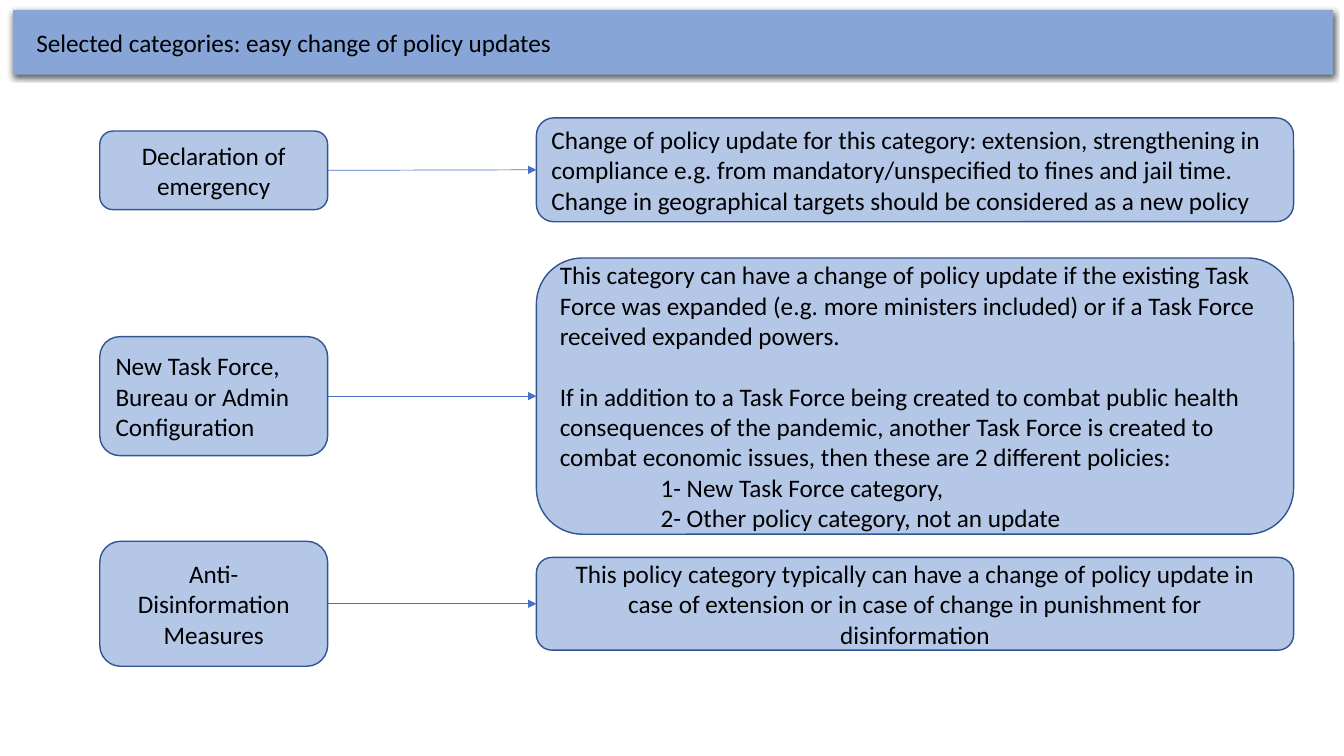
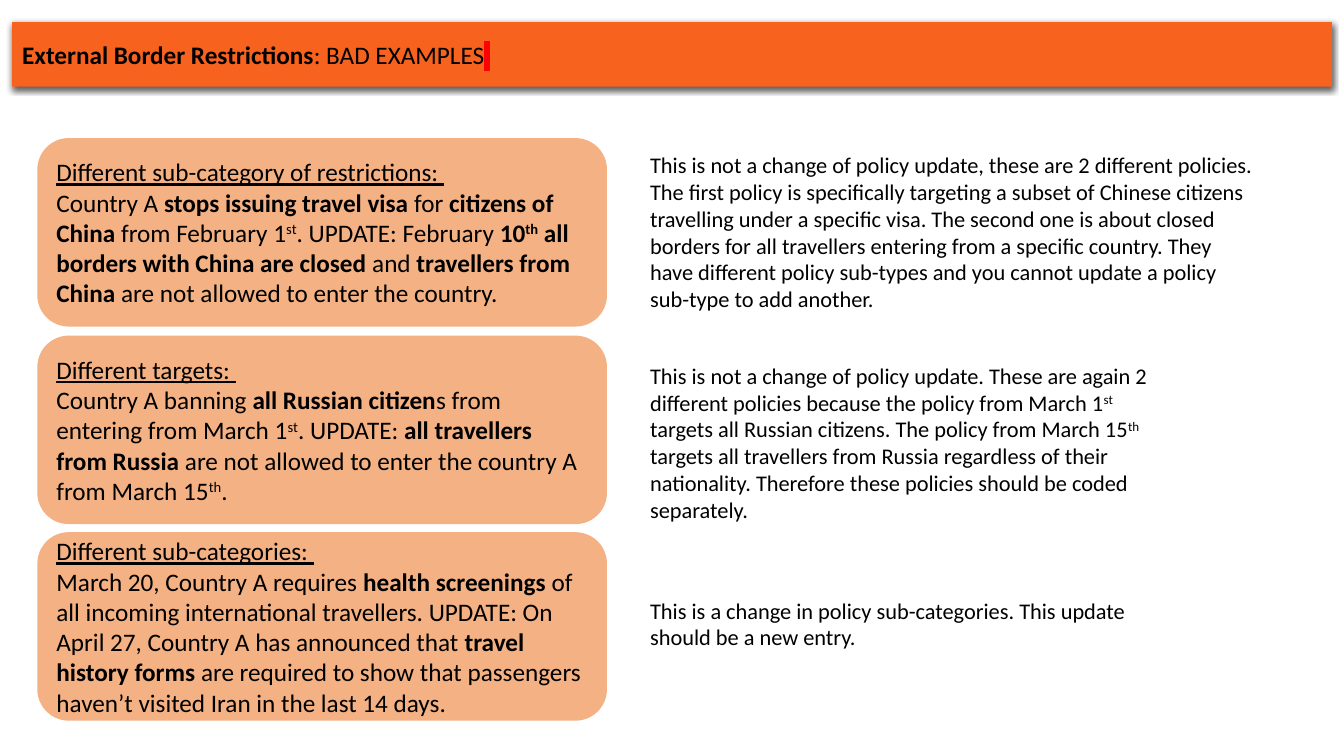
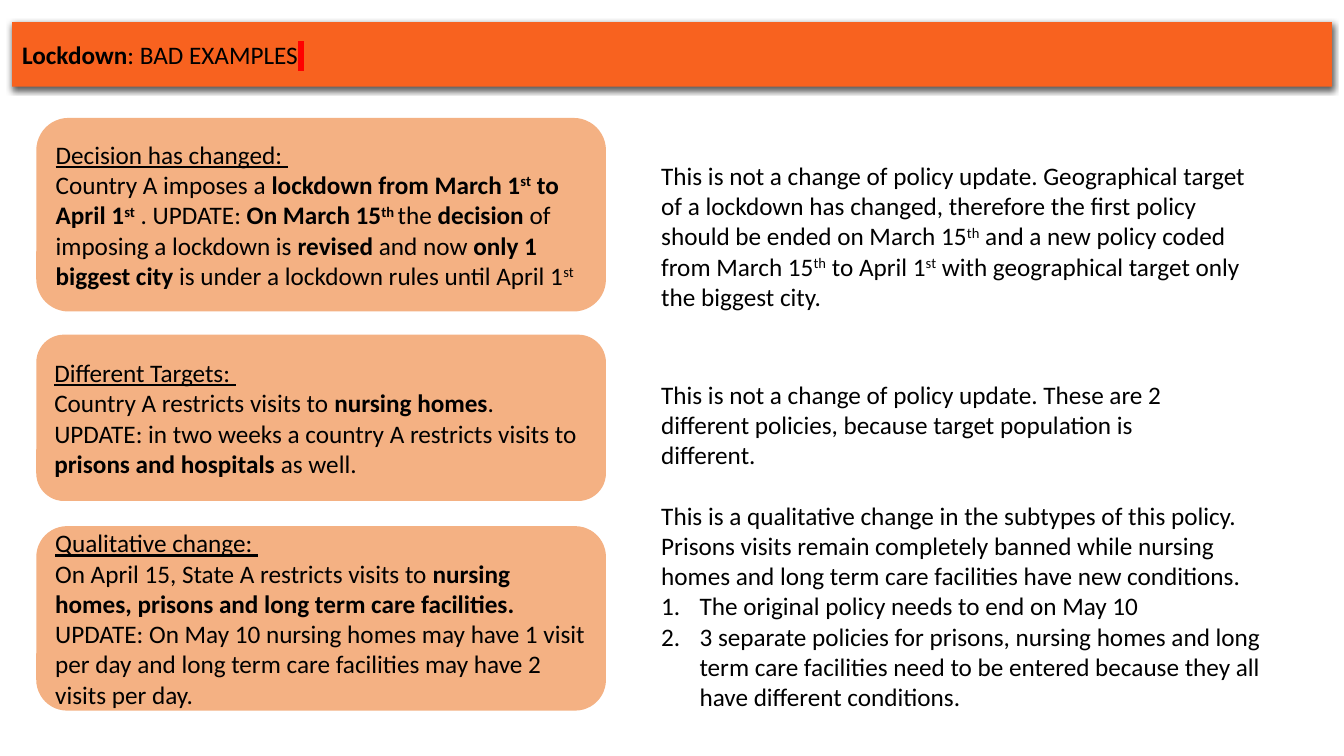
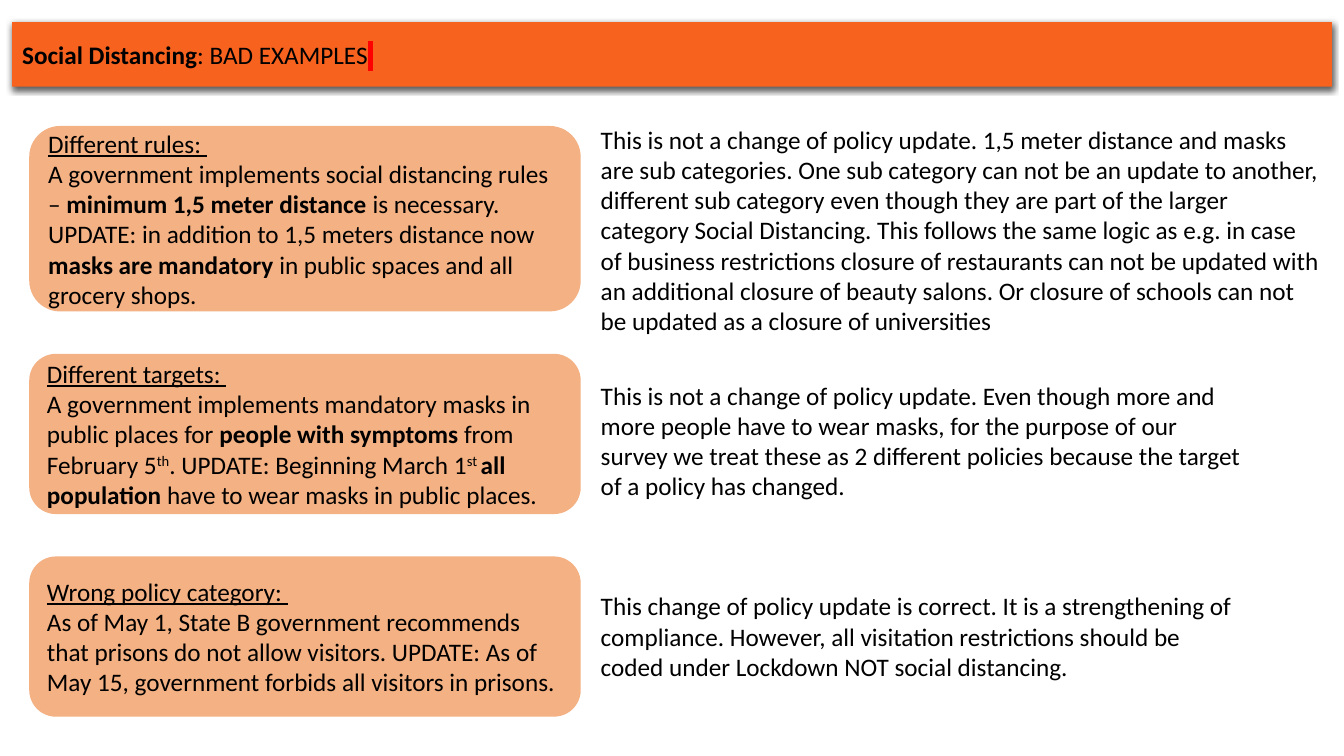
from dataclasses import dataclass

import pptx
import pptx.chart.data
import pptx.dml.color
import pptx.enum.shapes
import pptx.enum.text
import pptx.oxml
import pptx.oxml.ns
import pptx.util
from lxml import etree

Inches, Pt = pptx.util.Inches, pptx.util.Pt
RGB = pptx.dml.color.RGBColor
ALIGN = pptx.enum.text.PP_ALIGN
ANCHOR = pptx.enum.text.MSO_ANCHOR
SHAPE = pptx.enum.shapes.MSO_SHAPE
qn = pptx.oxml.ns.qn

BLACK = RGB(0x00, 0x00, 0x00)
BAND_BLUE = RGB(0x88, 0xA5, 0xD8)
BAND_ORANGE = RGB(0xF8, 0x62, 0x1F)
BOX_BLUE = RGB(0xB4, 0xC7, 0xE7)
BOX_EDGE = RGB(0x32, 0x54, 0x91)
BOX_ORANGE = RGB(0xF4, 0xB1, 0x83)
ARROW_BLUE = RGB(0x44, 0x72, 0xC4)
MARK_RED = RGB(0xFF, 0x00, 0x00)
FONT = "Calibri"
BAND_SIZE = (13.09, 0.64)


@dataclass
class Para:
    """Spans are plain text or (text, flags): b bold, u underlined, ^ raised, h marked."""
    spans: list
    align: object = ALIGN.LEFT
    before: float = 0
    indent: float = 0
    numbered: bool = False


# Content: slide of categories, each row a category and its rule
CATEGORY_TITLE = "Selected categories: easy change of policy updates"
CATEGORY_COLUMN, RULE_COLUMN = (0.99, 2.26), (5.32, 7.51)
CATEGORY_ROWS = [
    {"category": (1.3, 0.78, [Para(["Declaration of emergency"], ALIGN.CENTER)]),
     "rule": (1.17, 1.03, [Para([
         "Change of policy update for this category: extension, strengthening in compliance e.g. from "
         "mandatory/unspecified to fines and jail time. Change in geographical targets should be "
         "considered as a new policy"])])},
    {"category": (3.34, 1.18, [Para(["New Task Force, Bureau or Admin Configuration"])]),
     "rule": (2.56, 2.74, [
         Para(["This category can have a change of policy update if the existing Task Force was expanded "
               "(e.g. more ministers included) or if a Task Force received expanded powers."]),
         Para(["If in addition to a Task Force being created to combat public health consequences of the "
               "pandemic, another Task Force is created to combat economic issues, then these are 2 "
               "different policies:"], before=22),
         Para(["1- New Task Force category,"], indent=1),
         Para(["2- Other policy category, not an update"], indent=1)])},
    {"category": (5.37, 1.24, [Para(["Anti-Disinformation Measures"], ALIGN.CENTER)]),
     "rule": (5.53, 0.92, [Para([
         "This policy category typically can have a change of policy update in case of extension or in "
         "case of change in punishment for disinformation"], ALIGN.CENTER)])},
]

# Content: slides of bad examples
# example: top, height, heading, spans; note: top, width, height, paragraphs
BAD_EXAMPLES = [
    {"topic": "External Border Restrictions", "column": (0.37, 5.65), "note_left": 6.35, "note_size": 16,
     "rows": [
         {"example": (1.37, 1.87, "Different sub-category of restrictions: ", [
             "Country A ", ("stops issuing travel visa", "b"), " for ", ("citizens of China", "b"),
             " from February 1", ("st", "^"), ". UPDATE: February ", ("10", "b"), ("th", "b^"),
             (" all borders with China are closed", "b"), " and ", ("travellers from China", "b"),
             " are not allowed to enter the country."]),
          "note": (1.45, 6.24, 1.72, [Para([
              "This is not a change of policy update, these are 2 different policies. The first policy is "
              "specifically targeting a subset of Chinese citizens travelling under a specific visa. The "
              "second one is about closed borders for all travellers entering from a specific country. "
              "They have different policy sub-types and you cannot update a policy sub-type to add "
              "another."])])},
         {"example": (3.33, 1.87, "Different targets: ", [
             "Country A banning ", ("all Russian citizen", "b"), "s from entering from March 1",
             ("st", "^"), ". UPDATE: ", ("all travellers from Russia", "b"),
             " are not allowed to enter the country A from March 15", ("th", "^"), "."]),
          "note": (3.54, 5.3, 1.72, [Para([
              "This is not a change of policy update. These are again 2 different policies because the "
              "policy from March 1", ("st", "^"), " targets all Russian citizens. The policy from March 15",
              ("th", "^"), " targets all travellers from Russia regardless of their nationality. Therefore "
              "these policies should be coded separately."])])},
         {"example": (5.28, 1.87, "Different sub-categories: ", [
             "March 20, Country A requires ", ("health screenings ", "b"),
             "of all incoming international travellers. UPDATE: On April 27, Country A has announced that ",
             ("travel history forms ", "b"),
             "are required to show that passengers haven’t visited Iran in the last 14 days."]),
          "note": (5.87, 5.3, 0.64, [Para([
              "This is a change in policy sub-categories. This update should be a new entry."])])},
     ]},
    {"topic": "Lockdown", "column": (0.36, 5.65), "note_left": 6.46, "note_size": 18,
     "rows": [
         {"example": (1.17, 1.92, "Decision has changed: ", [
             "Country A imposes a ", ("lockdown from March 1", "b"), ("st", "b^"), (" to April 1", "b"),
             ("st", "b^"), " . UPDATE: ", ("On March 15", "b"), ("th ", "b^"), "the ", ("decision", "b"),
             " of imposing a lockdown is ", ("revised", "b"), " and now ", ("only 1 biggest city ", "b"),
             "is under a lockdown rules until April 1", ("st", "^")]),
          "note": (1.54, 6.2, 1.62, [Para([
              "This is not a change of policy update. Geographical target of a lockdown has changed, "
              "therefore the first policy should be ended on March 15", ("th", "^"),
              " and a new policy coded from March 15", ("th", "^"), " to April 1", ("st", "^"),
              " with geographical target only the biggest city."])])},
         {"example": (3.32, 1.65, "Different Targets: ", [
             "Country A restricts visits to ", ("nursing homes", "b"),
             ". UPDATE: in two weeks a country A restricts visits to ", ("prisons and hospitals ", "b"),
             "as well."]),
          "note": (3.71, 5.3, 1.01, [Para([
              "This is not a change of policy update. These are 2 different policies, because target "
              "population is different."])])},
         {"example": (5.22, 1.83, "Qualitative change: ", [
             "On April 15, State A restricts visits to ",
             ("nursing homes, prisons and long term care facilities. ", "b"),
             "UPDATE: On May 10 nursing homes may have 1 visit per day and long term care facilities may "
             "have 2 visits per day."]),
          "note": (4.91, 6.31, 2.22, [
              Para(["This is a qualitative change in the subtypes of this policy. Prisons visits remain "
                    "completely banned while nursing homes and long term care facilities have new "
                    "conditions."]),
              Para(["The original policy needs to end on May 10"], indent=0.38, numbered=True),
              Para(["3 separate policies for prisons, nursing homes and long term care facilities need to "
                    "be entered because they all have different conditions."],
                   indent=0.38, numbered=True)])},
     ]},
    {"topic": "Social Distancing", "column": (0.29, 5.47), "note_left": 5.86, "note_size": 18,
     "rows": [
         {"example": (1.25, 1.84, "Different rules: ", [
             "A government implements social distancing rules – ", ("minimum 1,5 meter distance ", "b"),
             "is necessary. UPDATE: in addition to 1,5 meters distance now ",
             ("masks are mandatory ", "b"), "in public spaces and all grocery shops."]),
          "note": (1.18, 7.35, 2.22, [Para([
              "This is not a change of policy update. 1,5 meter distance and masks are sub categories. One "
              "sub category can not be an update to another, different sub category even though they are "
              "part of the larger category Social Distancing. This follows the same logic as e.g. in case "
              "of business restrictions closure of restaurants can not be updated with an additional "
              "closure of beauty salons. Or closure of schools can not be updated as a closure of "
              "universities"])])},
         {"example": (3.51, 1.59, "Different targets: ", [
             "A government implements mandatory masks in public places for ",
             ("people with symptoms ", "b"), "from February 5", ("th", "^"),
             ". UPDATE: Beginning March 1", ("st ", "^"), ("all population ", "b"),
             "have to wear masks in public places."]),
          "note": (3.72, 6.59, 1.31, [Para([
              "This is not a change of policy update. Even though more and more people have to wear masks, "
              "for the purpose of our survey we treat these as 2 different policies because the target of "
              "a policy has changed."])])},
         {"example": (5.52, 1.59, "Wrong policy category: ", [
             "As of May 1, State B government recommends that prisons do not allow visitors. UPDATE: As of "
             "May 15, government forbids all visitors in prisons."]),
          "note": (5.81, 6.59, 1.01, [Para([
              "This change of policy update is correct. It is a strengthening of compliance. However, all "
              "visitation restrictions should be coded under Lockdown NOT social distancing."])])},
     ]},
]


# Text
def add_span(para, text, flags, size):
    span = para.add_run()
    span.text = text
    span.font.size = Pt(size)
    span.font.bold = "b" in flags
    span.font.underline = "u" in flags
    span.font.color.rgb = BLACK
    span.font.name = FONT
    props = span.font._element
    if "^" in flags:
        props.set("baseline", "30000")
    if "h" in flags:
        mark = etree.Element(qn("a:highlight"))
        etree.SubElement(mark, qn("a:srgbClr"), val=str(MARK_RED))
        props.find(qn("a:latin")).addprevious(mark)


def write_text(shape, paras, size=18, anchor=ANCHOR.MIDDLE):
    frame = shape.text_frame
    frame.word_wrap = True
    frame.auto_size = pptx.enum.text.MSO_AUTO_SIZE.NONE
    frame.vertical_anchor = anchor
    for index, item in enumerate(paras):
        para = frame.add_paragraph() if index else frame.paragraphs[0]
        para.alignment = item.align
        if item.before:
            para.space_before = Pt(item.before)
        props = para._p.get_or_add_pPr()
        if item.indent:
            props.set("marL", str(Inches(item.indent)))
        if item.numbered:
            props.set("indent", str(-Inches(item.indent)))
            etree.SubElement(props, qn("a:buAutoNum"), type="arabicPeriod")
        for span in item.spans:
            text, flags = (span, "") if isinstance(span, str) else span
            add_span(para, text, flags, size)


# Shared parts
def add_titled_page(deck, left, top, color, spans, text_inset=0.1):
    page = deck.slides.add_slide(deck.slide_layouts[5])
    band = page.shapes.title
    band.left, band.top = Inches(left), Inches(top)
    band.width, band.height = map(Inches, BAND_SIZE)
    band.fill.solid()
    band.fill.fore_color.rgb = color
    band.text_frame.margin_left = Inches(text_inset)
    effects = etree.SubElement(band._element.spPr, qn("a:effectLst"))
    shadow = etree.SubElement(effects, qn("a:outerShdw"), blurRad=str(Pt(4.5)), dist=str(Pt(1.5)),
                              dir="5400000", algn="ctr", rotWithShape="0")
    tint = etree.SubElement(shadow, qn("a:srgbClr"), val=str(BLACK))
    etree.SubElement(tint, qn("a:alpha"), val="63000")
    write_text(band, [Para(spans)])
    return page


def add_box(page, column, top, height, paras, fill, edge=None):
    left, width = column
    box = page.shapes.add_shape(SHAPE.ROUNDED_RECTANGLE, *map(Inches, (left, top, width, height)))
    box.shadow.inherit = False
    box.fill.solid()
    box.fill.fore_color.rgb = fill
    if edge is None:
        box.line.fill.background()
    else:
        box.line.color.rgb = edge
        box.line.width = Pt(1)
    write_text(box, paras)
    return box


def add_arrow(page, start, end):
    arrow = page.shapes.add_connector(pptx.enum.shapes.MSO_CONNECTOR.STRAIGHT, 0, 0, 0, 0)
    arrow.begin_connect(start, 3)
    arrow.end_connect(end, 1)
    arrow.line.color.rgb = ARROW_BLUE
    arrow.line.width = Pt(0.5)
    etree.SubElement(arrow.line._get_or_add_ln(), qn("a:tailEnd"), type="triangle")
    etree.SubElement(arrow._element.spPr, qn("a:effectLst"))


# Slides
def add_category_page(deck):
    page = add_titled_page(deck, 0.13, 0.1, BAND_BLUE, [CATEGORY_TITLE], text_inset=0.23)
    for row in CATEGORY_ROWS:
        category = add_box(page, CATEGORY_COLUMN, *row["category"], BOX_BLUE, BOX_EDGE)
        rule = add_box(page, RULE_COLUMN, *row["rule"], BOX_BLUE, BOX_EDGE)
        add_arrow(page, category, rule)


def add_example_page(deck, content):
    page = add_titled_page(deck, 0.12, 0.22, BAND_ORANGE,
                           [(content["topic"], "b"), ": BAD EXAMPLES", (" ", "h")])
    for row in content["rows"]:
        top, height, heading, spans = row["example"]
        add_box(page, content["column"], top, height, [Para([(heading, "u")]), Para(spans)], BOX_ORANGE)
        top, width, height, paras = row["note"]
        note = page.shapes.add_textbox(*map(Inches, (content["note_left"], top, width, height)))
        write_text(note, paras, content["note_size"], ANCHOR.TOP)


def main():
    deck = pptx.Presentation()
    deck.slide_width, deck.slide_height = Inches(13.33), Inches(7.5)
    add_category_page(deck)
    for content in BAD_EXAMPLES:
        add_example_page(deck, content)
    deck.save("out.pptx")


if __name__ == "__main__":
    main()
